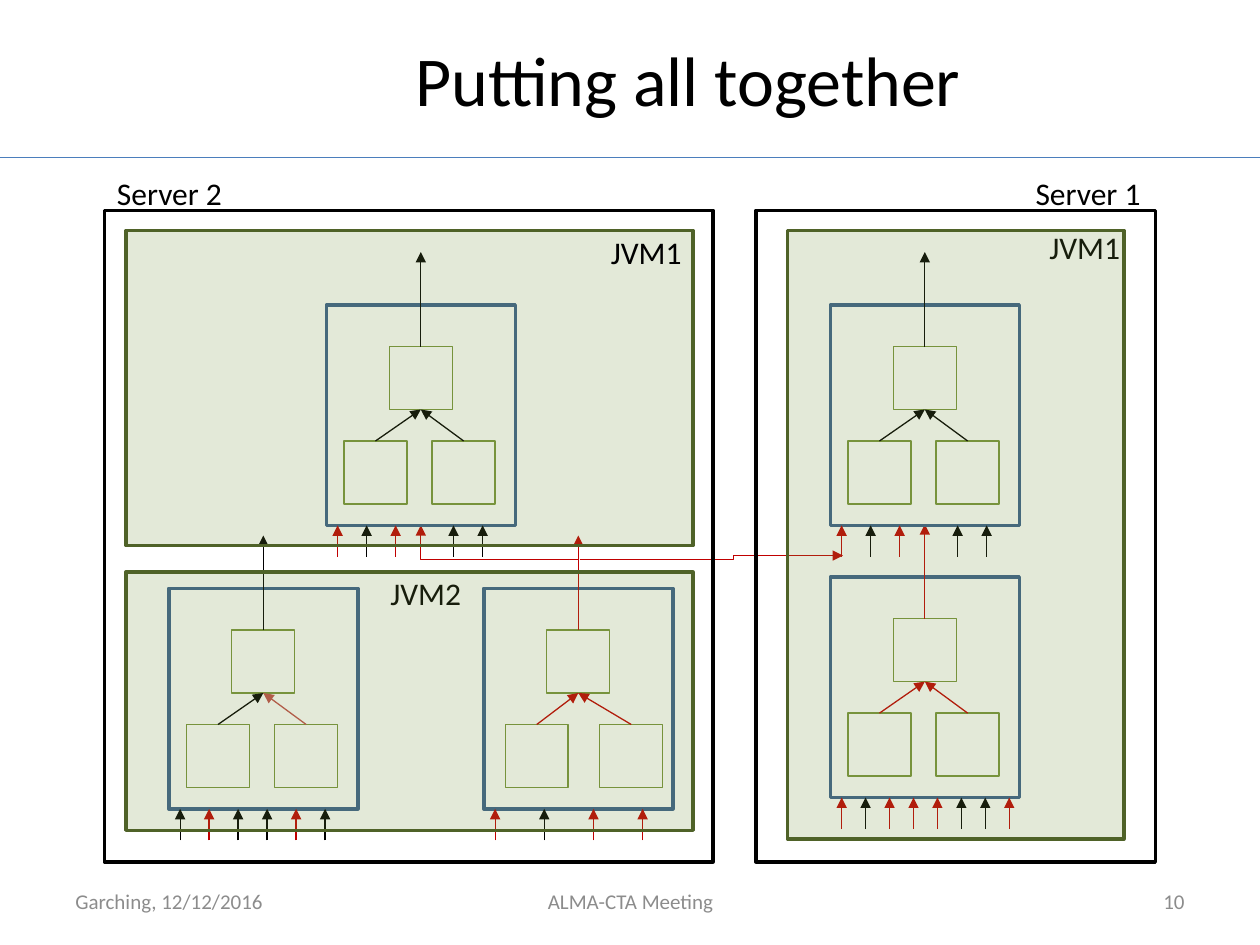
from lxml import etree
from pptx import Presentation
from pptx.dml.color import RGBColor
from pptx.enum.shapes import MSO_CONNECTOR, MSO_SHAPE
from pptx.enum.text import MSO_ANCHOR, PP_ALIGN
from pptx.oxml.ns import qn
from pptx.util import Inches, Pt

COLORS = {"black": "000000", "red": "C00000", "light red": "C0504D", "blue": "3A5F8C",
          "green": "77933C", "dark green": "4F6228", "rule": "4B7EBC", "gray": "8C8C8C"}
LETTERS = {"K": "black", "R": "red", "L": "light red"}

deck = Presentation()
deck.slide_width, deck.slide_height = Inches(10), Inches(7.5)
page = deck.slides.add_slide(deck.slide_layouts[5])


def add_box(left, top, width, height, color, weight, filled=False):
    box = page.shapes.add_shape(MSO_SHAPE.RECTANGLE, Inches(left), Inches(top),
                                Inches(width), Inches(height))
    box.shadow.inherit = False
    box.line.color.rgb = RGBColor.from_string(COLORS[color])
    box.line.width = Pt(weight)
    if filled:
        box.fill.solid()
        box.fill.fore_color.rgb = RGBColor.from_string(COLORS["green"])
        tint = box.fill._xPr.find(".//" + qn("a:srgbClr"))
        etree.SubElement(tint, qn("a:alpha")).set("val", "20000")
    else:
        box.fill.background()


def add_line(x1, y1, x2, y2, color, kind=MSO_CONNECTOR.STRAIGHT, arrow=True):
    line = page.shapes.add_connector(kind, Inches(x1), Inches(y1), Inches(x2), Inches(y2))
    line.line.color.rgb = RGBColor.from_string(COLORS[color])
    line.line.width = Pt(0.75)
    if arrow:
        etree.SubElement(line.line._get_or_add_ln(), qn("a:tailEnd")).set("type", "triangle")
    etree.SubElement(line._element.spPr, qn("a:effectLst"))
    return line


# Title and the rule under it
add_line(0, 1.25, 10, 1.25, "rule", arrow=False)
title = page.shapes.title
title.left, title.top, title.width, title.height = Inches(1), Inches(0), Inches(8.92), Inches(1.25)
title.text_frame.vertical_anchor = MSO_ANCHOR.MIDDLE
para = title.text_frame.paragraphs[0]
para.alignment = PP_ALIGN.CENTER
span = para.add_run()
span.text = "Putting all together"
span.font.size, span.font.name = Pt(40), "Calibri"
span.font.color.rgb = RGBColor.from_string(COLORS["black"])

# Elbow links from the middle module to its two receivers
corner = add_line(4.59, 4.44, 3.34, 4.17, "red", MSO_CONNECTOR.ELBOW)
corner._element.spPr.find(qn("a:prstGeom")).set("prst", "bentConnector2")
step_link = add_line(4.6, 4.44, 6.69, 4.41, "red", MSO_CONNECTOR.ELBOW)
adjustments = step_link._element.spPr.find(qn("a:prstGeom")).find(qn("a:avLst"))
guide = etree.SubElement(adjustments, qn("a:gd"))
guide.set("name", "adj1")
guide.set("fmla", "val 58400")

# Modules: left, top, child offsets, output, branch colors, inputs, input gap
modules = [
    (2.59, 2.42, (0.14, 0.84), "K", "KK", "RKR-KK", 0.23),
    (3.84, 4.67, (0.17, 0.92), "R", "RR", "RKRR", 0.39),
    (1.34, 4.67, (0.14, 0.84), "K", "KL", "KRKKRK", 0.23),
    (6.59, 4.58, (0.14, 0.84), "R", "RR", "RKRRRKKR", 0.19),
    (6.59, 2.42, (0.14, 0.84), "K", "KK", "RKR-KK", 0.23),
]
for left, top, children, output, branches, inputs, gap in modules:
    center = left + 0.75
    add_box(left, top, 1.5, 1.75, "blue", 2)
    add_box(center - 0.25, top + 0.33, 0.5, 0.5, "green", 0.75)
    add_line(center, top + 0.33, center, top - 0.42, LETTERS[output])
    for offset, branch in zip(children, branches):
        add_box(left + offset, top + 1.08, 0.5, 0.5, "green", 0.75)
        add_line(left + offset + 0.25, top + 1.08, center, top + 0.83, LETTERS[branch])
    for index, letter in enumerate(inputs):
        if letter != "-":
            x = left + 0.09 + index * gap
            add_line(x, top + 2, x, top + 1.75, LETTERS[letter])

# Servers and the first virtual machine
add_box(6, 1.67, 3.17, 5.17, "black", 2)
add_box(0.83, 1.67, 4.83, 5.17, "black", 2)
add_box(1, 1.83, 4.5, 2.5, "dark green", 2, filled=True)

# Labels and footer: text, left, top, width, size, color, alignment
texts = [
    ("Server 1", 8.12, 1.33, 1.05, 18, "black", PP_ALIGN.LEFT),
    ("Server 2", 0.83, 1.33, 1.05, 18, "black", PP_ALIGN.LEFT),
    ("JVM1", 4.75, 1.8, 0.77, 18, "black", PP_ALIGN.LEFT),
    ("JVM1", 8.23, 1.76, 0.77, 18, "black", PP_ALIGN.LEFT),
    ("JVM2", 3, 4.51, 0.77, 18, "black", PP_ALIGN.LEFT),
    ("Garching, 12/12/2016", 0.5, 6.95, 2.33, 12, "gray", PP_ALIGN.LEFT),
    ("ALMA-CTA Meeting", 3.42, 6.95, 3.17, 12, "gray", PP_ALIGN.CENTER),
    ("10", 7.17, 6.95, 2.33, 12, "gray", PP_ALIGN.RIGHT),
]
for text, left, top, width, size, color, alignment in texts:
    label = page.shapes.add_textbox(Inches(left), Inches(top), Inches(width), Inches(0.4))
    frame = label.text_frame
    is_footer = color == "gray"
    frame.word_wrap = is_footer
    frame.vertical_anchor = MSO_ANCHOR.MIDDLE if is_footer else MSO_ANCHOR.TOP
    para = frame.paragraphs[0]
    para.alignment = alignment
    span = para.add_run()
    span.text = text
    span.font.size, span.font.name = Pt(size), "Calibri"
    span.font.color.rgb = RGBColor.from_string(COLORS[color])

# Remaining virtual machines tint what lies beneath them
add_box(6.25, 1.83, 2.67, 4.83, "dark green", 2, filled=True)
add_box(1, 4.54, 4.5, 2.05, "dark green", 2, filled=True)

deck.save("out.pptx")
